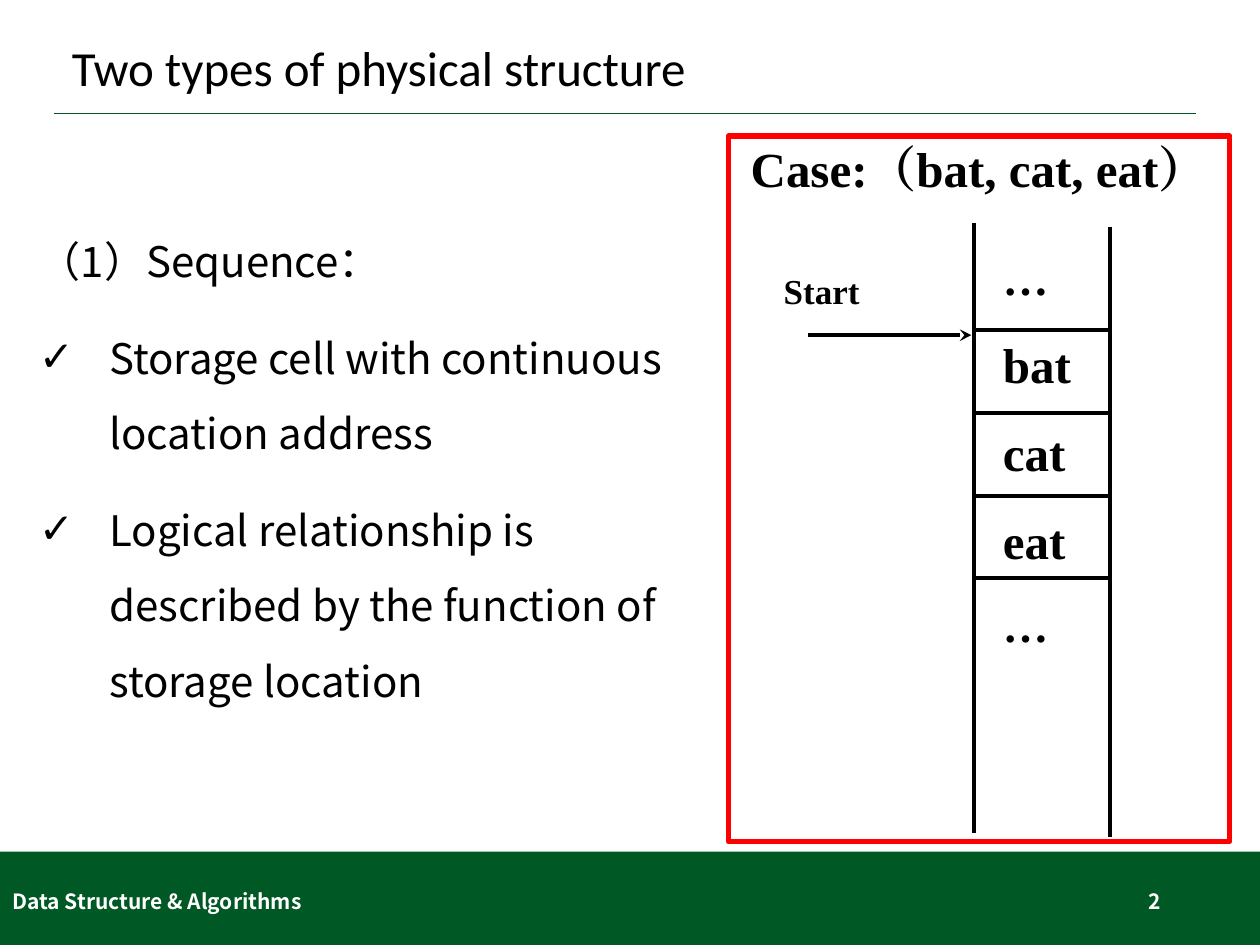
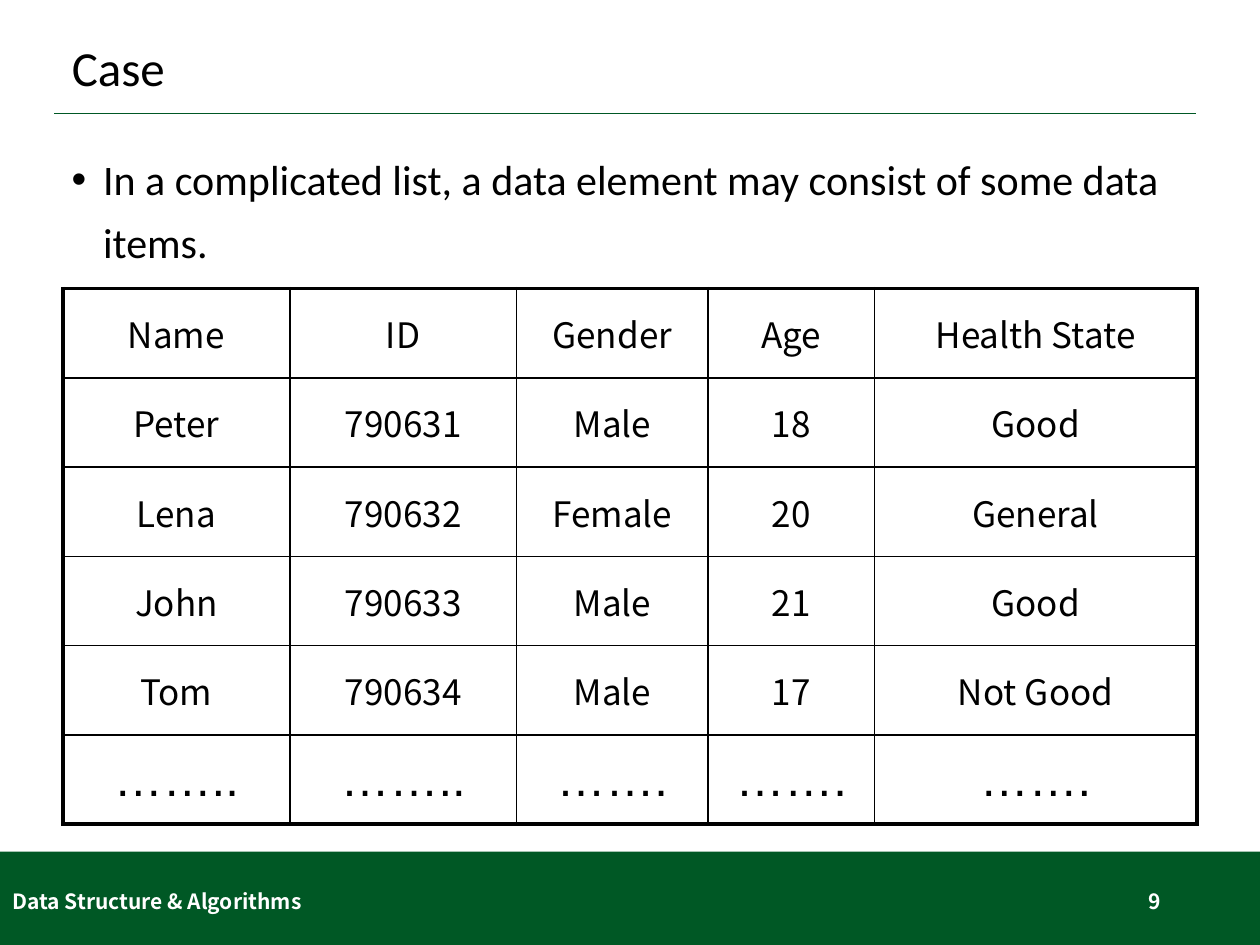
from dataclasses import dataclass

from lxml import etree
from pptx import Presentation
from pptx.dml.color import RGBColor
from pptx.enum.shapes import MSO_CONNECTOR as Connector, MSO_SHAPE as Shape
from pptx.enum.text import MSO_ANCHOR as Anchor, MSO_AUTO_SIZE as AutoSize, PP_ALIGN as Align
from pptx.oxml.ns import qn
from pptx.util import Inches, Pt


@dataclass(frozen=True)
class Style:
    font: str
    size: int
    bold: bool = False
    colour: RGBColor = RGBColor(0, 0, 0)


class Theme:
    green = RGBColor(0x00, 0x58, 0x25)
    red = RGBColor(0xFF, 0, 0)
    black = RGBColor(0, 0, 0)
    white = RGBColor(255, 255, 255)
    title = Style("Calibri", 28)
    body = Style("Calibri", 24)
    points = Style("Noto Sans CJK SC", 24)
    footer = Style("Noto Sans CJK SC", 12, True, white)
    cell = Style("Noto Sans CJK SC", 20)
    dots = Style("Arial", 28)
    diagram = Style("Times New Roman", 28, True)
    diagram_dots = Style("Times New Roman", 26, True)
    label = Style("Times New Roman", 20, True)


deck = Presentation()
deck.slide_width, deck.slide_height = Inches(10), Inches(7.5)

# Grid of 100 columns by 75 rows
COLUMN, ROW = deck.slide_width // 100, deck.slide_height // 75


def area(*lengths):
    """Turn alternating column and row counts into lengths."""
    return [round(n * (ROW if i % 2 else COLUMN)) for i, n in enumerate(lengths)]


def write(frame, lines, align=Align.LEFT, spacing=1.0, before=0, indent=0, anchor=Anchor.TOP):
    """Fill a frame with (text, style, bullet) lines."""
    frame.word_wrap = True
    frame.vertical_anchor = anchor
    for i, (text, style, bullet) in enumerate(lines):
        para = frame.add_paragraph() if i else frame.paragraphs[0]
        para.alignment, para.line_spacing = align, spacing
        para.space_before = Pt(before if i else 0)
        props = para._p.get_or_add_pPr()
        props.set("marL", str(Inches(indent)))
        props.set("indent", str(-Inches(indent)))
        if bullet:
            etree.SubElement(props, qn("a:buFont"), typeface="Arial")
            etree.SubElement(props, qn("a:buChar"), char=bullet)
        else:
            etree.SubElement(props, qn("a:buNone"))
        span = para.add_run()
        span.text = text
        span.font.name, span.font.size = style.font, Pt(style.size)
        span.font.bold, span.font.color.rgb = style.bold, style.colour
        etree.SubElement(span._r.get_or_add_rPr(), qn("a:ea"), typeface=style.font)


# Shared band, title and footer; lines are collected and drawn at the end
pages, strokes = [], []
for title, number in (("Two types of physical structure", "2"), ("Case", "9")):
    page = deck.slides.add_slide(deck.slide_layouts[5])
    pages.append(page)
    band = page.shapes.add_shape(Shape.RECTANGLE, *area(0, 67.6, 100, 7.4))
    band.shadow.inherit = False
    band.fill.solid()
    band.fill.fore_color.rgb = Theme.green
    band.line.fill.background()
    strokes.append((page, (4.3, 9, 94.9, 9), Theme.green, 1, None))

    heading = page.shapes.title
    heading.left, heading.top, heading.width, heading.height = area(4.7, 2.3, 90.6, 6.6)
    write(heading.text_frame, [(title, Theme.title, None)], spacing=0.9, anchor=Anchor.MIDDLE)
    heading.text_frame.auto_size = AutoSize.NONE

    for text, left, width, align in (
        (number, 70.6, 22.5, Align.RIGHT),
        ("Data Structure & Algorithms", 0, 33.8, Align.LEFT),
    ):
        box = page.shapes.add_textbox(*area(left, 69.5, width, 4))
        write(box.text_frame, [(text, Theme.footer, None)], align, anchor=Anchor.MIDDLE)

structure, case = pages

# Sequence: explanation
box = structure.shapes.add_textbox(*area(2.1, 16.2, 55.9, 45.4))
write(box.text_frame, [
    ("（1）Sequence：", Theme.points, None),
    ("Storage cell with continuous location address", Theme.points, "✓"),
    ("Logical relationship is described by the function of storage location", Theme.points, "✓"),
], spacing=1.5, before=12, indent=0.56)

# Sequence: framed memory diagram
frame = structure.shapes.add_shape(Shape.RECTANGLE, *area(57.8, 10.8, 39.8, 56))
frame.shadow.inherit = False
frame.fill.background()
frame.line.color.rgb, frame.line.width = Theme.red, Pt(3)

box = structure.shapes.add_textbox(*area(58.6, 10.5, 41.4, 5.7))
write(box.text_frame, [("Case:（bat, cat, eat）", Theme.diagram, None)])

stored = [(word, Theme.diagram, None) for word in ("bat", "cat", "eat")]
dots = ("…", Theme.diagram_dots, None)
for place, lines, spacing, margins in (
    ((79.6, 17.2, 6.5, 38.3), [dots, *stored, dots], 1.5, (0, 0.5)),
    ((62, 21.5, 14.1, 4.6), [("Start", Theme.label, None)], 0.96, (0.2, 0.1)),
):
    box = structure.shapes.add_textbox(*area(*place))
    text = box.text_frame
    text.margin_left, text.margin_top = text.margin_right, text.margin_bottom = area(*margins)
    write(text, lines, Align.JUSTIFY, spacing)

LEFT_WALL, RIGHT_WALL, FIRST_CELL, CELL_HEIGHT = 77.3, 88.1, 26.2, 6.57
diagram_lines = [(LEFT_WALL, 17.7, LEFT_WALL, 66.1), (RIGHT_WALL, 18, RIGHT_WALL, 66.4)]
for i in range(len(stored) + 1):
    y = FIRST_CELL + i * CELL_HEIGHT
    diagram_lines.append((LEFT_WALL, y, RIGHT_WALL, y))
strokes += [(structure, ends, Theme.black, 2.25, None) for ends in diagram_lines]
strokes.append((structure, (64.1, 26.6, 77.1, 26.6), Theme.black, 2.25, "stealth"))

# Case: statement
box = case.shapes.add_textbox(*area(4.7, 10.7, 90.6, 11))
statement = "In a complicated list, a data element may consist of some data items."
write(box.text_frame, [(statement, Theme.body, "•")], spacing=1.25, indent=0.25)

# Case: table of people
people = [
    ("Name", "ID", "Gender", "Age", "Health State"),
    ("Peter", "790631", "Male", "18", "Good"),
    ("Lena", "790632", "Female", "20", "General"),
    ("John", "790633", "Male", "21", "Good"),
    ("Tom", "790634", "Male", "17", "Not Good"),
    ("……..", "……..", "…….", "…….", "……."),
]
widths = (18, 18, 15.2, 13.2, 25.6)
last_row, last_column = len(people) - 1, len(widths) - 1
table = case.shapes.add_table(len(people), len(widths), *area(5, 22.9, 90, 42.5)).table
table.first_row = table.horz_banding = False
for column, width in zip(table.columns, widths):
    column.width = round(width * COLUMN)
for r, record in enumerate(people):
    for c, value in enumerate(record):
        cell = table.cell(r, c)
        style = Theme.dots if r == last_row else Theme.cell
        write(cell.text_frame, [(value, style, None)], Align.CENTER)
        cell.vertical_anchor = Anchor.MIDDLE
        props = cell._tc.get_or_add_tcPr()
        edges = {"L": c == 0, "R": c == last_column, "T": r == 0, "B": r == last_row}
        for side, outer in edges.items():
            border = etree.SubElement(props, qn(f"a:ln{side}"), w=str(Pt(2.25 if outer else 1)))
            fill = etree.SubElement(border, qn("a:solidFill"))
            etree.SubElement(fill, qn("a:srgbClr"), val=str(Theme.black))
        cell.fill.background()

# Lines and arrows
for page, ends, colour, weight, arrow in strokes:
    line = page.shapes.add_connector(Connector.STRAIGHT, *area(*ends))
    line.line.color.rgb, line.line.width = colour, Pt(weight)
    if arrow:
        etree.SubElement(line.line._get_or_add_ln(), qn("a:tailEnd"), type=arrow)
    etree.SubElement(line._element.spPr, qn("a:effectLst"))

deck.save("out.pptx")
